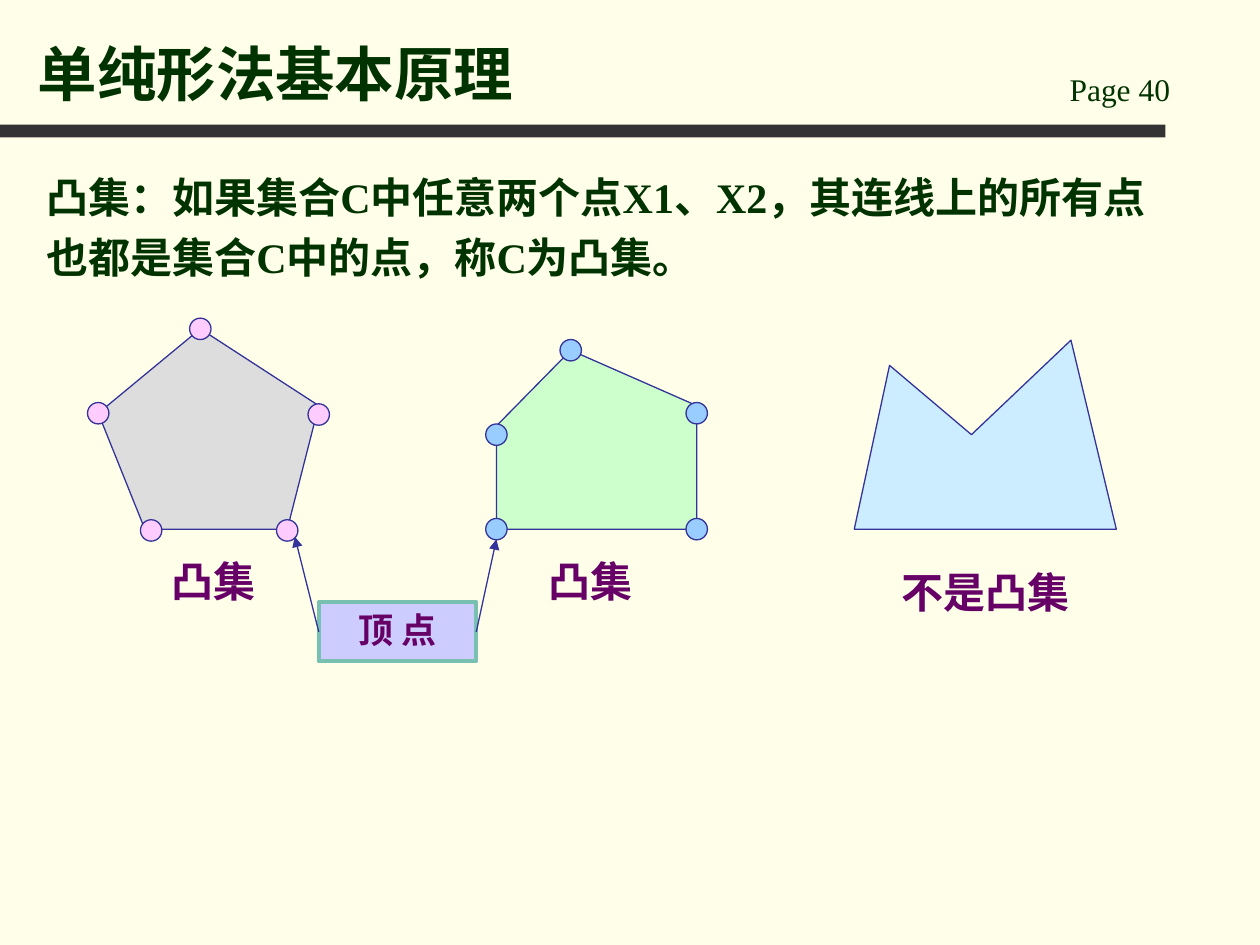
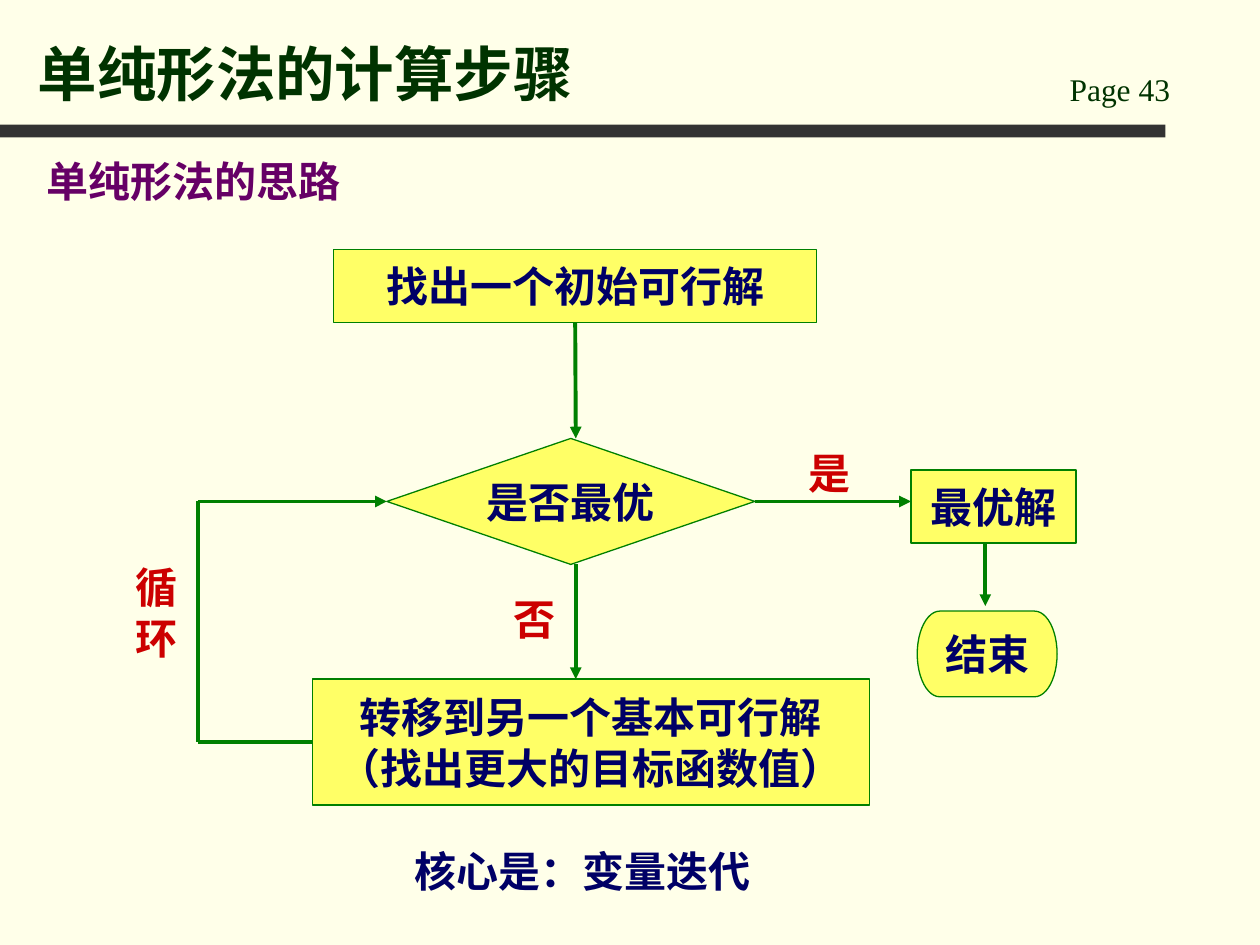
import pptx
import pptx.dml.color
import pptx.enum.shapes
import pptx.enum.text
import pptx.oxml
import pptx.oxml.ns
import pptx.util

Inches, Pt = pptx.util.Inches, pptx.util.Pt
SHAPE = pptx.enum.shapes.MSO_SHAPE
ALIGN = pptx.enum.text.PP_ALIGN
ANCHOR = pptx.enum.text.MSO_ANCHOR

FONT = "Times New Roman"
PAPER, BAND, INK = "FFFFE9", "333333", "003300"
PURPLE, NAVY, RED = "660066", "000066", "CC0000"
OUTLINE, FLOW_LINE, FLOW_FILL = "333399", "008000", "FFFF66"
DOT = 0.17


def rgb(value):
    """Turn a hex string into a colour."""
    return pptx.dml.color.RGBColor.from_string(value)


def paint(shape, fill, line=None, width=0.75):
    """Give a shape a flat fill and an optional outline."""
    shape.shadow.inherit = False
    shape.fill.solid()
    shape.fill.fore_color.rgb = rgb(fill)
    if line:
        shape.line.color.rgb = rgb(line)
        shape.line.width = Pt(width)
    else:
        shape.line.fill.background()


def write(shape, lines, color, size=24, bold=True, align=ALIGN.LEFT,
          anchor=ANCHOR.TOP, wrap=True, spacing=None):
    """Fill a shape with one paragraph for each line."""
    frame = shape.text_frame
    frame.word_wrap = wrap
    frame.vertical_anchor = anchor
    for index, line in enumerate(lines):
        paragraph = frame.add_paragraph() if index else frame.paragraphs[0]
        paragraph.alignment = align
        if spacing:
            paragraph.line_spacing = spacing
        run = paragraph.add_run()
        run.text = line
        run.font.name = FONT
        run.font.size = Pt(size)
        run.font.bold = bold
        run.font.color.rgb = rgb(color)


def place(shape, box):
    """Move a placeholder to a box in inches."""
    shape.left, shape.top, shape.width, shape.height = map(Inches, box)


def label(slide, box, lines, color, **style):
    """Add a text box."""
    text_box = slide.shapes.add_textbox(*map(Inches, box))
    write(text_box, lines, color, **style)


def block(slide, kind, box, fill, line=None, width=0.75):
    """Add a painted preset shape."""
    shape = slide.shapes.add_shape(kind, *map(Inches, box))
    paint(shape, fill, line, width)
    return shape


def link(slide, start, end, color, width, arrow=True):
    """Draw a straight line, with an arrowhead at its end if wanted."""
    connector = slide.shapes.add_connector(
        pptx.enum.shapes.MSO_CONNECTOR.STRAIGHT, *map(Inches, start + end))
    connector.line.color.rgb = rgb(color)
    connector.line.width = Pt(width)
    if arrow:
        outline = connector.line._get_or_add_ln()
        outline.append(pptx.oxml.parse_xml(
            f'<a:tailEnd {pptx.oxml.ns.nsdecls("a")} type="triangle"/>'))
    connector._element.spPr.append(pptx.oxml.parse_xml(
        f'<a:effectLst {pptx.oxml.ns.nsdecls("a")}/>'))
    return connector


def framed_slide(deck, layout, heading, page):
    """Add a slide with the shared band, page number and title."""
    slide = deck.slides.add_slide(deck.slide_layouts[layout])
    block(slide, SHAPE.RECTANGLE, (0, 0.99, 9.25, 0.1), BAND)
    label(slide, (8.39, 0.51, 1.42, 0.4), [f"Page {page}"], INK, size=18, bold=False)
    place(slide.shapes.title, (0.2, 0.13, 8.03, 0.78))
    write(slide.shapes.title, [heading], INK, size=34, anchor=ANCHOR.BOTTOM)
    return slide


def region(slide, left, top, corners, fill, vertices=(), dot_fill=None):
    """Draw a polygon and its vertex dots from the given top left point."""
    points = [(Inches(left + x), Inches(top + y)) for x, y in corners]
    builder = slide.shapes.build_freeform(*points[0])
    builder.add_line_segments(points[1:], close=True)
    paint(builder.convert_to_shape(), fill, OUTLINE)
    for x, y in vertices:
        dot_box = (left + x - DOT / 2, top + y - DOT / 2, DOT, DOT)
        block(slide, SHAPE.OVAL, dot_box, dot_fill, OUTLINE)


def vertex_note(slide, left, top):
    """Draw the vertex label with its two pointers."""
    note = block(slide, SHAPE.RECTANGLE, (left, top, 1.25, 0.47), "CCCCFF", "78C0B2", 2.25)
    write(note, ["顶 点"], PURPLE, size=20, align=ALIGN.CENTER)
    for side, x, tip in ((1, 0, (left - 0.19, top - 0.52)),
                         (3, 1.25, (left + 1.41, top - 0.5))):
        pointer = link(slide, (left + x, top + 0.23), tip, OUTLINE, 0.75)
        pointer.begin_connect(note, side)


def convex_slide(deck):
    """Build the slide that defines convex sets."""
    slide = framed_slide(deck, 5, "单纯形法基本原理", 40)
    label(slide, (0.27, 1.23, 9.13, 1.06),
          ["凸集：如果集合C中任意两个点X1、X2，其连线上的所有点也都是集合C中的点，称C为凸集。"],
          INK, spacing=1.2)
    region(slide, 0.78, 2.61,
           [(0, 0.67), (0.81, 0), (1.75, 0.61), (1.5, 1.59), (0.37, 1.59)], "DDDDDD",
           [(0, 0.67), (0.81, 0), (1.75, 0.68), (1.5, 1.6), (0.42, 1.6)], "FFCCFF")
    region(slide, 3.94, 2.78,
           [(0, 0.6), (0.59, 0), (1.59, 0.44), (1.59, 1.42), (0, 1.42)], "CCFFCC",
           [(0, 0.67), (0.59, 0), (1.59, 0.5), (1.59, 1.42), (0, 1.42)], "99CCFF")
    region(slide, 6.78, 2.7,
           [(0, 1.5), (0.28, 0.2), (0.93, 0.75), (1.72, 0), (2.08, 1.5)], "CCECFF")
    for left, top, width, caption in ((1.03, 4.36, 1.33, "凸集"),
                                      (3.94, 4.36, 1.5, "凸集"),
                                      (7.03, 4.45, 1.58, "不是凸集")):
        label(slide, (left, top, width, 0.5), [caption], PURPLE, align=ALIGN.CENTER)
    vertex_note(slide, 2.53, 4.78)


def step(slide, kind, box, lines):
    """Add one step of the flowchart."""
    shape = block(slide, kind, box, FLOW_FILL, FLOW_LINE)
    write(shape, lines, NAVY, align=ALIGN.CENTER, anchor=ANCHOR.MIDDLE, wrap=False)
    return shape


def flowchart(slide, left, top):
    """Draw the iteration flowchart from the given top left point."""
    def at(x, y):
        return left + x, top + y

    def flow(start, end, arrow=True):
        return link(slide, at(*start), at(*end), FLOW_LINE, 2.25, arrow)

    initial = step(slide, SHAPE.RECTANGLE, (*at(1.67, 0), 3.83, 0.58), ["找出一个初始可行解"])
    test = step(slide, SHAPE.DIAMOND, (*at(2.09, 1.5), 2.92, 1), ["是否最优"])
    move = step(slide, SHAPE.RECTANGLE, (*at(1.5, 3.41), 4.42, 1),
                ["转移到另一个基本可行解", "（找出更大的目标函数值）"])
    step(slide, SHAPE.RECTANGLE, (*at(6.25, 1.75), 1.31, 0.58), ["最优解"])
    step(slide, SHAPE.FLOWCHART_TERMINATOR, (*at(6.3, 2.87), 1.11, 0.68), ["结束"])

    flow((3.59, 0.58), (3.59, 1.5)).begin_connect(initial, 2)
    flow((3.59, 2.5), (3.59, 3.41))
    flow((5.01, 2), (6.25, 2)).begin_connect(test, 3)
    flow((6.84, 2.33), (6.84, 2.83))
    flow((0.59, 2), (2.09, 2)).end_connect(test, 1)
    flow((0.59, 2), (0.59, 3.91), arrow=False)
    flow((0.59, 3.91), (1.5, 3.91), arrow=False).end_connect(move, 1)

    for x, y, height, lines in ((5.34, 1.52, 0.5, ["是"]),
                                (3, 2.68, 0.5, ["否"]),
                                (0, 2.43, 0.9, ["循", "环"])):
        label(slide, (*at(x, y), 0.53, height), lines, RED, wrap=False)


def steps_slide(deck):
    """Build the slide with the steps of the method."""
    slide = framed_slide(deck, 1, "单纯形法的计算步骤", 43)
    idea = slide.placeholders[1]
    place(idea, (0.27, 1.23, 8.9, 0.55))
    write(idea, ["单纯形法的思路"], PURPLE, spacing=0.9)
    paragraph = idea.text_frame.paragraphs[0]
    paragraph.space_before = Pt(4)
    properties = paragraph._p.get_or_add_pPr()
    properties.set("marL", "0")
    properties.set("indent", "0")
    properties.append(pptx.oxml.parse_xml(f'<a:buNone {pptx.oxml.ns.nsdecls("a")}/>'))
    flowchart(slide, 0.98, 1.98)
    label(slide, (3.19, 6.66, 2.87, 0.5), ["核心是：变量迭代"], NAVY, wrap=False)


def main():
    """Build and save the deck."""
    deck = pptx.Presentation()
    deck.slide_width, deck.slide_height = Inches(10), Inches(7.5)
    backdrop = deck.slide_master.background.fill
    backdrop.solid()
    backdrop.fore_color.rgb = rgb(PAPER)
    convex_slide(deck)
    steps_slide(deck)
    deck.save("out.pptx")


if __name__ == "__main__":
    main()
